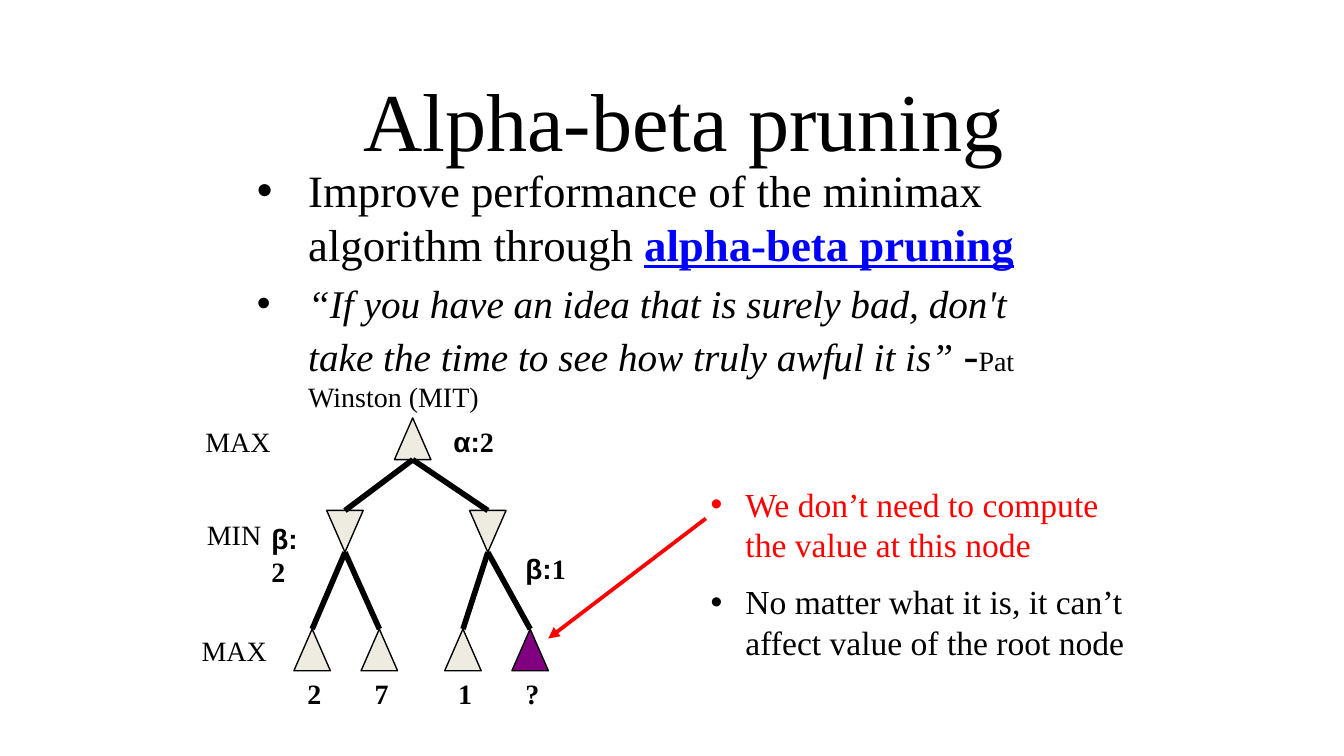
import pptx
import pptx.util
import pptx.dml.color
import pptx.enum.dml
import pptx.enum.shapes
import pptx.enum.text
import pptx.oxml
import pptx.oxml.ns

Cm, Pt = pptx.util.Cm, pptx.util.Pt
RGBColor = pptx.dml.color.RGBColor
MSO_SHAPE = pptx.enum.shapes.MSO_SHAPE
qn = pptx.oxml.ns.qn

BLACK = RGBColor(0x00, 0x00, 0x00)
BLUE = RGBColor(0x00, 0x00, 0xFF)
RED = RGBColor(0xFF, 0x00, 0x00)
PURPLE = RGBColor(0x80, 0x00, 0x80)
CREAM = RGBColor(0xEE, 0xEC, 0xE1)
SERIF, SANS = "Times New Roman", "Arial"


def child(parent, tag, **attrs):
    """Append an XML element with attributes to parent."""
    e = pptx.oxml.parse_xml(
        '<%s xmlns:a="http://schemas.openxmlformats.org/drawingml/2006/main"/>' % tag)
    for name, value in attrs.items():
        e.set(name, str(value))
    parent.append(e)
    return e


class Deck:
    """Holds the style and the current slide."""

    node_w, node_h = 0.69, 0.79

    def __init__(self, s):
        """Start drawing on slide s."""
        self.s = s
        self.shapes = s.shapes

    def runs(self, p, runs, size):
        """Fill paragraph p with (text, format) runs."""
        for text, extra in runs:
            r = p.add_run()
            r.text = text
            fmt = {"name": SERIF, "size": size, "color": BLACK, **extra}
            r.font.color.rgb = fmt.pop("color")
            fmt["size"] = Pt(fmt["size"])
            for key, value in fmt.items():
                setattr(r.font, key, value)

    def place(self, sp, left, top, width, height):
        """Move and size a shape, in centimetres."""
        box = {"left": left, "top": top, "width": width, "height": height}
        for key, value in box.items():
            setattr(sp, key, Cm(value))

    def title(self, text, *box):
        """Write the slide title."""
        sp = self.s.shapes.title
        self.place(sp, *box)
        tf = sp.text_frame
        tf.auto_size = pptx.enum.text.MSO_AUTO_SIZE.NONE
        tf.vertical_anchor = pptx.enum.text.MSO_ANCHOR.MIDDLE
        tf.paragraphs[0].alignment = pptx.enum.text.PP_ALIGN.CENTER
        self.runs(tf.paragraphs[0], [(text, {})], 44)

    def bullets(self, sp, box, items, size, indent, before):
        """Fill a shape with bulleted paragraphs."""
        self.place(sp, *box)
        tf = sp.text_frame
        tf.word_wrap = True
        tf.auto_size = pptx.enum.text.MSO_AUTO_SIZE.NONE
        for i, item in enumerate(items):
            p = tf.add_paragraph() if i else tf.paragraphs[0]
            p.space_before = Pt(before)
            self.runs(p, item, size)
            pPr = p._p.get_or_add_pPr()
            pPr.set("marL", str(Cm(indent)))
            pPr.set("indent", str(-Cm(indent)))
            child(pPr, "a:buFont", typeface=SANS)
            child(pPr, "a:buChar", char="•")

    def label(self, left, top, runs, width=1.9, wrap=False, **fmt):
        """Add a small text label."""
        sp = self.shapes.add_textbox(Cm(left), Cm(top), Cm(width), Cm(0.89))
        sp.text_frame.word_wrap = wrap
        self.runs(sp.text_frame.paragraphs[0], [(t, {**fmt, **f}) for t, f in runs], 15)

    def node(self, cx, top, down=False, fill=CREAM):
        """Add a tree node centred on cx, pointing up or down."""
        sp = self.shapes.add_shape(MSO_SHAPE.ISOSCELES_TRIANGLE, Cm(cx - self.node_w / 2),
                                   Cm(top), Cm(self.node_w), Cm(self.node_h))
        sp.shadow.inherit = False
        sp.fill.solid()
        sp.fill.fore_color.rgb = fill
        sp.line.color.rgb = BLACK
        sp.line.width = Pt(0.75)
        if down:
            sp._element.spPr.find(qn("a:xfrm")).set("flipV", "1")

    def line(self, x1, y1, x2, y2, color=BLACK, width=3, arrow=False):
        """Add a straight line, with an arrowhead at its end if asked."""
        c = self.shapes.add_connector(pptx.enum.shapes.MSO_CONNECTOR.STRAIGHT,
                                      Cm(x1), Cm(y1), Cm(x2), Cm(y2))
        c.line.color.rgb = color
        c.line.width = Pt(width)
        if arrow:
            child(c.line._get_or_add_ln(), "a:tailEnd", type="triangle")
        child(c._element.spPr, "a:effectLst")


prs = pptx.Presentation()
prs.slide_width, prs.slide_height = Cm(25.4), Cm(14.29)
s = prs.slides.add_slide(prs.slide_layouts[1])
deck = Deck(s)

deck.title("Alpha-beta pruning", 4.83, 1.04, 16.2, 2.39)
deck.bullets(s.placeholders[1], (4.6, 2.95, 15.93, 7.8), [
    [("Improve performance of the minimax algorithm through ", {}),
     ("alpha-beta pruning", {"color": BLUE, "bold": True, "underline": True})],
    [("“If you have an idea that is surely bad, don't take the time to see "
      "how truly awful it is” ", {"size": 21, "italic": True}),
     ("-", {}), ("Pat Winston (MIT)", {"size": 15})],
], size=24, indent=0.97, before=4.8)

# Game tree: each MIN node with its leaves (centre, value, fill)
ROOT_X, ROOT_Y, MIN_Y, LEAF_Y = 7.8, 7.9, 9.65, 11.89
TREE = {
    6.52: [(5.9, "2", CREAM), (7.17, "7", CREAM)],
    9.22: [(8.75, "1", CREAM), (10.02, "?", PURPLE)],
}
deck.shapes = s.shapes.add_group_shape().shapes
deck.node(ROOT_X, ROOT_Y)
for min_x, leaves in TREE.items():
    deck.node(min_x, MIN_Y, down=True)
    deck.line(min_x, MIN_Y, ROOT_X, ROOT_Y + deck.node_h)
    for leaf_x, value, fill in leaves:
        deck.node(leaf_x, LEAF_Y, fill=fill)
        deck.line(leaf_x, LEAF_Y, min_x, MIN_Y + deck.node_h)
        deck.label(leaf_x - 0.34, 12.67, [(value, {})], width=0.79, bold=True)

BOUNDS = [
    (8.32, 7.9, "α:", "2", 1.4, False),
    (4.88, 9.73, "β:", "2", 1.18, True),
    (9.68, 10.3, "β:", "1", 1.35, False),
]
for left, top, name, value, width, wrap in BOUNDS:
    deck.label(left, top, [(name, {"name": SANS}), (value, {})], width, wrap, bold=True)

deck.shapes = s.shapes
deck.bullets(s.shapes.add_textbox(0, 0, 0, 0), (13.18, 9.02, 8.41, 3.71), [
    [("We don’t need to compute the value at this node", {"color": RED})],
    [("No matter what it is, it can’t affect value of the root node", {})],
], size=18, indent=0.66, before=9)
deck.line(13.34, 9.8, 10.36, 12.07, RED, 2, arrow=True)

for left, top, level in [(3.63, 7.9, "MAX"), (3.66, 9.65, "MIN"), (3.56, 11.86, "MAX")]:
    deck.label(left, top, [(level, {})])

prs.save("out.pptx")
